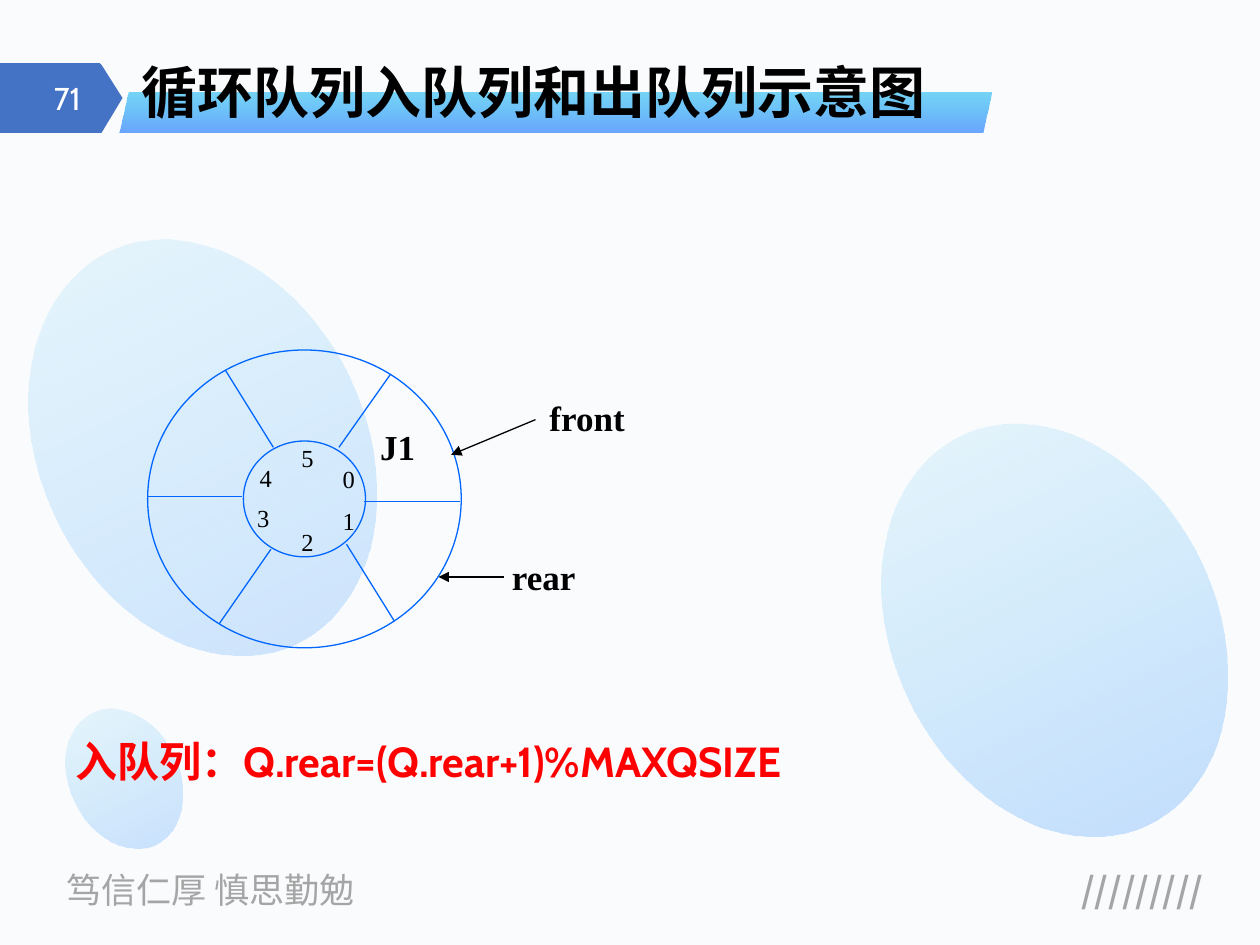
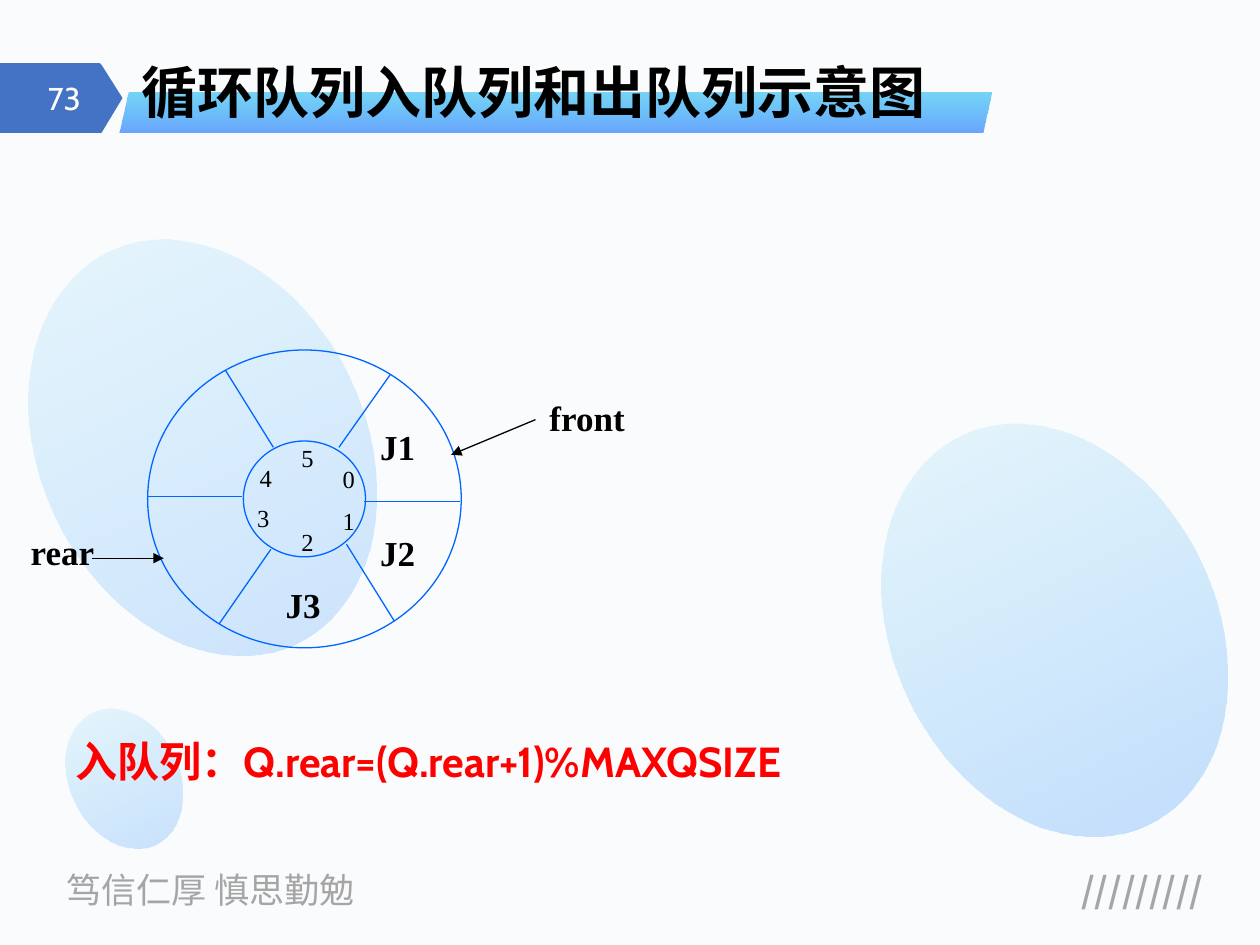
"""Build two slides that show elements entering a circular queue."""
from lxml import etree
from pptx import Presentation
from pptx.dml.color import RGBColor
from pptx.enum import shapes, text
from pptx.oxml.ns import qn
from pptx.util import Pt

BLACK = RGBColor(0x00, 0x00, 0x00)
WHITE = RGBColor(0xFF, 0xFF, 0xFF)
GREY = RGBColor(0xA5, 0xA5, 0xA5)
RED = RGBColor(0xFF, 0x00, 0x00)
RING_BLUE = RGBColor(0x00, 0x66, 0xFF)
BADGE_BLUE = RGBColor(0x44, 0x72, 0xC4)
DEEP_BLUE = RGBColor(0x33, 0x85, 0xFF)
SKY_BLUE = RGBColor(0x00, 0xB0, 0xF0)
PAPER = RGBColor(0xF9, 0xFB, 0xFD)

CHINESE = "Noto Sans CJK SC"
LATIN = "Cabin"
SERIF = "Times New Roman"

LEFT, CENTER, RIGHT = text.PP_ALIGN.LEFT, text.PP_ALIGN.CENTER, text.PP_ALIGN.RIGHT
TOP, MIDDLE, BOTTOM = text.MSO_ANCHOR.TOP, text.MSO_ANCHOR.MIDDLE, text.MSO_ANCHOR.BOTTOM
OVAL = shapes.MSO_SHAPE.OVAL

BUBBLES = [((39.6, 403.2, 62.6, 83.5), 24),
           ((510.5, 236.9, 184.3, 246.2), 27),
           ((23, 131.8, 185.8, 247.7), 22)]
BADGE = [(0, 36), (57, 36), (58.5, 37), (70, 56), (58.5, 75.5), (57, 76), (0, 75.6)]
RING_CENTER = (174, 285.1)
RING_SIZES = [(179.2, 170.2), (69.8, 66.2)]
SPOKES = [((84.2, 283.7), (138.2, 283.7)), ((208.1, 286.6), (262.8, 286.6)),
          ((128.9, 211.7), (156.2, 255.6)), ((198, 311), (225.4, 355)),
          ((223.2, 213.8), (193.7, 255.6)), ((154.8, 313.9), (125.3, 356.4))]
INDEX_SPOTS = [(188.6, 260.6), (188.6, 284.4), (164.9, 296.6),
               (139.7, 283), (141.1, 259.9), (164.9, 248.4)]
ELEMENT_SPOTS = [(210.2, 239.8), (210.2, 300.2), (156.2, 329.8)]


class QueueDeck:
    """Hold the deck, its style and the current page."""

    def __init__(self):
        """Start an empty deck."""
        self.deck = Presentation()
        self.deck.slide_width, self.deck.slide_height = Pt(720), Pt(540)
        self.page = None

    def set_words(self, box, words, size, font, color, bold=False, align=LEFT,
                  anchor=TOP, wrap=True, spacing=None):
        """Put formatted words into a box."""
        frame = box.text_frame
        frame.text = words
        frame.word_wrap = wrap
        frame.auto_size = text.MSO_AUTO_SIZE.NONE
        frame.vertical_anchor = anchor
        para = frame.paragraphs[0]
        para.alignment, para.line_spacing = align, spacing
        for span in para.runs:
            span.font.size, span.font.name, span.font.bold = Pt(size), font, bold
            span.font.color.rgb = color
            east = etree.SubElement(span.font._element, qn("a:ea"))
            east.set("typeface", CHINESE)

    def label(self, area, *args, **kwargs):
        """Add a text box."""
        box = self.page.shapes.add_textbox(*map(Pt, area))
        self.set_words(box, *args, **kwargs)
        return box

    def pointer_label(self, area, words):
        """Add the name of a queue pointer."""
        return self.label(area, words, 20, SERIF, BLACK, True, CENTER, MIDDLE, False)

    def title(self, words, width):
        """Fill the title placeholder and bring it in front of its band."""
        box = self.page.shapes.title
        box.left, box.top, box.width, box.height = map(Pt, (73.4, 28.8, width, 46.8))
        self.set_words(box, words, 32, CHINESE, BLACK, True, anchor=BOTTOM, spacing=0.9)
        box.element.getparent().append(box.element)

    def gradient(self, kind, area, stops, rotation=0):
        """Add a shape with a translucent downward gradient."""
        shape = self.page.shapes.add_shape(kind, *map(Pt, area))
        shape.shadow.inherit = False
        shape.line.fill.background()
        shape.rotation = rotation
        shape.fill.gradient()
        shape.fill.gradient_angle = 270
        for stop, (color, _) in zip(shape.fill.gradient_stops, stops):
            stop.color.rgb = color
        tints = shape.element.spPr.iter(qn("a:srgbClr"))
        for tint, (_, opacity) in zip(list(tints), stops):
            etree.SubElement(tint, qn("a:alpha")).set("val", str(opacity * 1000))
        return shape

    def badge(self, number):
        """Add the page number on its arrow."""
        builder = self.page.shapes.build_freeform(*BADGE[0], scale=Pt(1))
        builder.add_line_segments(BADGE[1:])
        shape = builder.convert_to_shape()
        shape.shadow.inherit = False
        shape.fill.solid()
        shape.fill.fore_color.rgb = BADGE_BLUE
        shape.line.fill.background()
        self.label((7.2, 41.8, 46.1, 28.8), number, 18, LATIN, WHITE,
                   align=RIGHT, anchor=MIDDLE)

    def line(self, start, end, color, arrow=False):
        """Add a thin line or arrow."""
        line = self.page.shapes.add_connector(
            shapes.MSO_CONNECTOR.STRAIGHT, *map(Pt, (*start, *end)))
        line.line.color.rgb = color
        line.line.width = Pt(0.75)
        if arrow:
            tail = etree.SubElement(line.line._get_or_add_ln(), qn("a:tailEnd"))
            tail.set("type", "triangle")
        etree.SubElement(line.element.spPr, qn("a:effectLst"))
        return line

    def ring_edge(self, width, height):
        """Add one outline of the ring about its centre."""
        x, y = RING_CENTER
        area = (x - width / 2, y - height / 2, width, height)
        shape = self.page.shapes.add_shape(OVAL, *map(Pt, area))
        shape.shadow.inherit = False
        shape.fill.background()
        shape.line.color.rgb = RING_BLUE
        shape.line.width = Pt(0.75)

    def start_page(self, number, title_width):
        """Add a page with its backdrop, footer and title."""
        self.page = self.deck.slides.add_slide(self.deck.slide_layouts[5])
        fill = self.page.background.fill
        fill.solid()
        fill.fore_color.rgb = PAPER
        self.label((31, 492.5, 194.4, 31.7), "笃信仁厚 慎思勤勉", 20, CHINESE, GREY)
        self.label((552.2, 492.5, 142.6, 31.7), "/////////", 20, CHINESE, GREY,
                   True, RIGHT)
        for area, opacity in BUBBLES:
            self.gradient(OVAL, area, [(DEEP_BLUE, opacity), (SKY_BLUE, 8)], 154.4)
        self.badge(number)
        band = self.gradient(shapes.MSO_SHAPE.PARALLELOGRAM, (68.4, 52.6, 498.2, 23),
                             [(SKY_BLUE, 52), (DEEP_BLUE, 73)])
        band.adjustments[0] = 0.23
        self.title("循环队列入队列和出队列示意图", title_width)

    def queue(self, elements, formula_width):
        """Draw the ring, its indexes, elements, front pointer and formula."""
        for size in RING_SIZES:
            self.ring_edge(*size)
        for start, end in SPOKES:
            self.line(start, end, RING_BLUE)
        for index, spot in enumerate(INDEX_SPOTS):
            self.label((*spot, 21.6, 25.9), str(index), 14, SERIF, BLACK,
                       align=CENTER, anchor=MIDDLE, wrap=False)
        for element, spot in zip(elements, ELEMENT_SPOTS):
            self.label((*spot, 34.6, 31), element, 20, SERIF, BLACK, True, wrap=False)
        self.line((306, 239.8), (257.8, 259.9), BLACK, arrow=True)
        self.pointer_label((308.9, 221.8, 53.3, 33.8), "front")
        self.label((36, 419.8, formula_width, 33.1), "入队列：Q.rear=(Q.rear+1)%MAXQSIZE",
                   24, LATIN, RED, True, spacing=0.9)


def main():
    """Build and save the deck."""
    slides = QueueDeck()

    slides.start_page("71", 590.4)
    slides.queue(["J1"], 522.7)
    rear = slides.pointer_label((288, 312.8, 45.4, 33.8), "rear")
    arrow = slides.line((288, 329.7), (250.6, 329.7), BLACK, arrow=True)
    arrow.begin_connect(rear, 1)

    slides.start_page("73", 493.2)
    slides.queue(["J1", "J2", "J3"], 550.8)
    slides.pointer_label((9.4, 303.1, 52.6, 23.8), "rear")
    slides.line((52.6, 319), (93.6, 319), BLACK, arrow=True)

    slides.deck.save("out.pptx")


if __name__ == "__main__":
    main()
